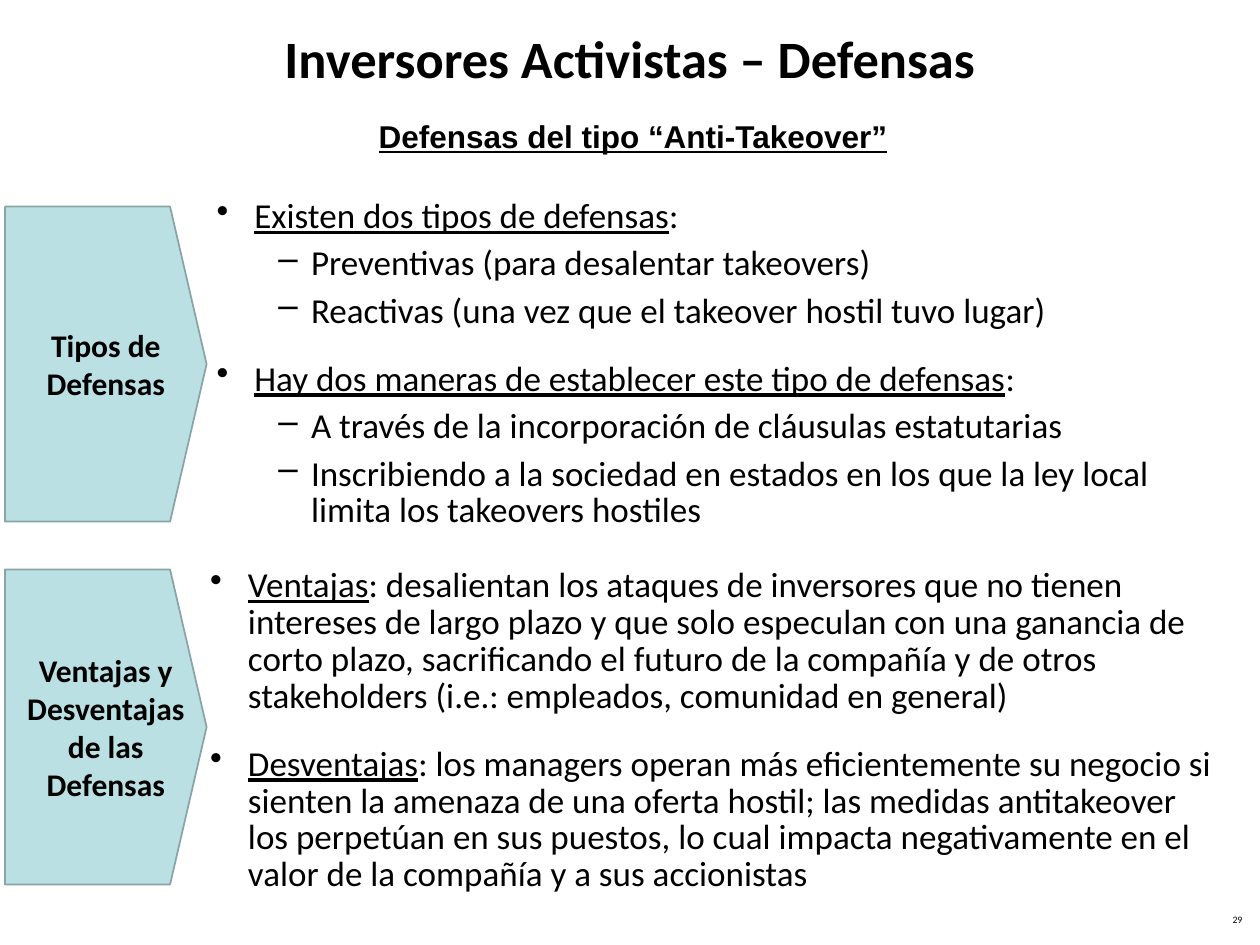
import pptx
import pptx.util
import pptx.dml.color
import pptx.enum.text
import pptx.oxml
import pptx.oxml.ns

ALIGN = pptx.enum.text.PP_ALIGN
ANCHOR = pptx.enum.text.MSO_ANCHOR


def color(value):
    """Turn a hex string into a colour."""
    return pptx.dml.color.RGBColor.from_string(value)


class Page:
    """Style and current slide, measured on a grid of 100 columns by 75 rows."""

    INK, FILL, EDGE = "000000", "BBE0E3", "89A4A7"
    # Per level: mark, left margin and first-line indent in columns, space before
    LEVELS = (("•", 3, -3, 18), ("–", 7.5, -2.6, 6))

    def __init__(self, deck):
        self.column = deck.slide_width / 100
        self.row = deck.slide_height / 75
        self.slide = deck.slides.add_slide(deck.slide_layouts[6])

    def x(self, columns):
        """Convert columns to a length."""
        return pptx.util.Emu(round(columns * self.column))

    def y(self, rows):
        """Convert rows to a length."""
        return pptx.util.Emu(round(rows * self.row))

    def style(self, para, size, bold=False, font="Calibri", align=ALIGN.LEFT):
        """Set the font and alignment of a paragraph."""
        para.alignment = align
        para.font.name = font
        para.font.size = pptx.util.Pt(size)
        para.font.bold = bold
        para.font.color.rgb = color(self.INK)

    def box(self, left, top, width, height, anchor=ANCHOR.TOP):
        """Add a wrapping text box and return its frame."""
        box = self.slide.shapes.add_textbox(
            self.x(left), self.y(top), self.x(width), self.y(height))
        box.text_frame.word_wrap = True
        box.text_frame.vertical_anchor = anchor
        return box.text_frame

    def line(self, text, place, size, anchor=ANCHOR.TOP, underline=None, **style):
        """Add a text box that holds one paragraph."""
        para = self.box(*place, anchor=anchor).paragraphs[0]
        para.text = text
        self.style(para, size, **style)
        para.font.underline = underline
        return para

    def bullets(self, place, items):
        """Add a list of (level, underlined lead, plain rest) items."""
        frame = self.box(*place)
        for index, (level, lead, rest) in enumerate(items):
            para = frame.paragraphs[0] if index == 0 else frame.add_paragraph()
            mark, margin, indent, before = self.LEVELS[level]
            para.level = level
            para.line_spacing = pptx.util.Pt(21)
            para.space_before = pptx.util.Pt(before)
            self.style(para, 20)
            for text, underline in ((lead, True), (rest, False)):
                if text:
                    span = para.add_run()
                    span.text = text
                    span.font.underline = underline
            self.mark(para, mark, self.x(margin), self.x(indent))

    def mark(self, para, mark, margin, indent):
        """Give a paragraph a bullet character and a hanging indent."""
        props = para._p.get_or_add_pPr()
        props.set("marL", str(margin))
        props.set("indent", str(indent))
        bullet = pptx.oxml.parse_xml(
            f'<a:buChar {pptx.oxml.ns.nsdecls("a")} char="{mark}"/>')
        props.find(pptx.oxml.ns.qn("a:defRPr")).addprevious(bullet)

    def pentagon(self, text, left, top, width, height, tip):
        """Add a labelled pentagon that points right."""
        right, bottom = left + width, top + height
        shoulder = right - tip
        corners = ((shoulder, top), (right, top + height / 2),
                   (shoulder, bottom), (left, bottom))
        builder = self.slide.shapes.build_freeform(self.x(left), self.y(top))
        builder.add_line_segments([(self.x(x), self.y(y)) for x, y in corners])
        shape = builder.convert_to_shape()
        shape.shadow.inherit = False
        shape.fill.solid()
        shape.fill.fore_color.rgb = color(self.FILL)
        shape.line.color.rgb = color(self.EDGE)
        shape.line.width = pptx.util.Pt(1)
        frame = shape.text_frame
        frame.word_wrap = True
        frame.vertical_anchor = ANCHOR.MIDDLE
        frame.text = text
        self.style(frame.paragraphs[0], 18, bold=True, align=ALIGN.CENTER)


def main():
    """Build the slide on defences against activist investors."""
    deck = pptx.Presentation()
    deck.slide_width = pptx.util.Inches(10)
    deck.slide_height = pptx.util.Inches(7.5)
    page = Page(deck)

    number = page.line("29", (76.3, 72.2, 23.3, 2.1), 5.6, align=ALIGN.RIGHT)
    number.line_spacing = 0.8
    page.line("Inversores Activistas – Defensas", (5, 0, 90, 9.1), 30,
              anchor=ANCHOR.MIDDLE, bold=True, align=ALIGN.CENTER)
    subtitle = page.line("Defensas del tipo “Anti-Takeover”", (17.1, 8.8, 66.3, 4), 18,
                         underline=True, bold=True, font="Arial", align=ALIGN.CENTER)
    subtitle.space_before = pptx.util.Pt(11.2)

    page.bullets((16.2, 15.3, 81.9, 26.6), (
        (0, "Existen dos tipos de defensas", ":"),
        (1, "", "Preventivas (para desalentar takeovers)"),
        (1, "", "Reactivas (una vez que el takeover hostil tuvo lugar)"),
        (0, "Hay dos maneras de establecer este tipo de defensas", ":"),
        (1, "", "A través de la incorporación de cláusulas estatutarias"),
        (1, "", "Inscribiendo a la sociedad en estados en los que la ley local "
                "limita los takeovers hostiles"),
    ))
    page.bullets((15.7, 44.6, 82.4, 26.2), (
        (0, "Ventajas", ": desalientan los ataques de inversores que no tienen "
                        "intereses de largo plazo y que solo especulan con una ganancia de "
                        "corto plazo, sacrificando el futuro de la compañía y de otros "
                        "stakeholders (i.e.: empleados, comunidad en general)"),
        (0, "Desventajas", ": los managers operan más eficientemente su negocio si "
                           "sienten la amenaza de una oferta hostil; las medidas antitakeover "
                           "los perpetúan en sus puestos, lo cual impacta negativamente en el "
                           "valor de la compañía y a sus accionistas"),
    ))

    labels = ("Tipos de Defensas", "Ventajas y Desventajas de las Defensas")
    for index, label in enumerate(labels):
        page.pentagon(label, 0.4, 16.4 + 28.8 * index, 16, 25, 2.9)

    deck.save("out.pptx")


if __name__ == "__main__":
    main()
